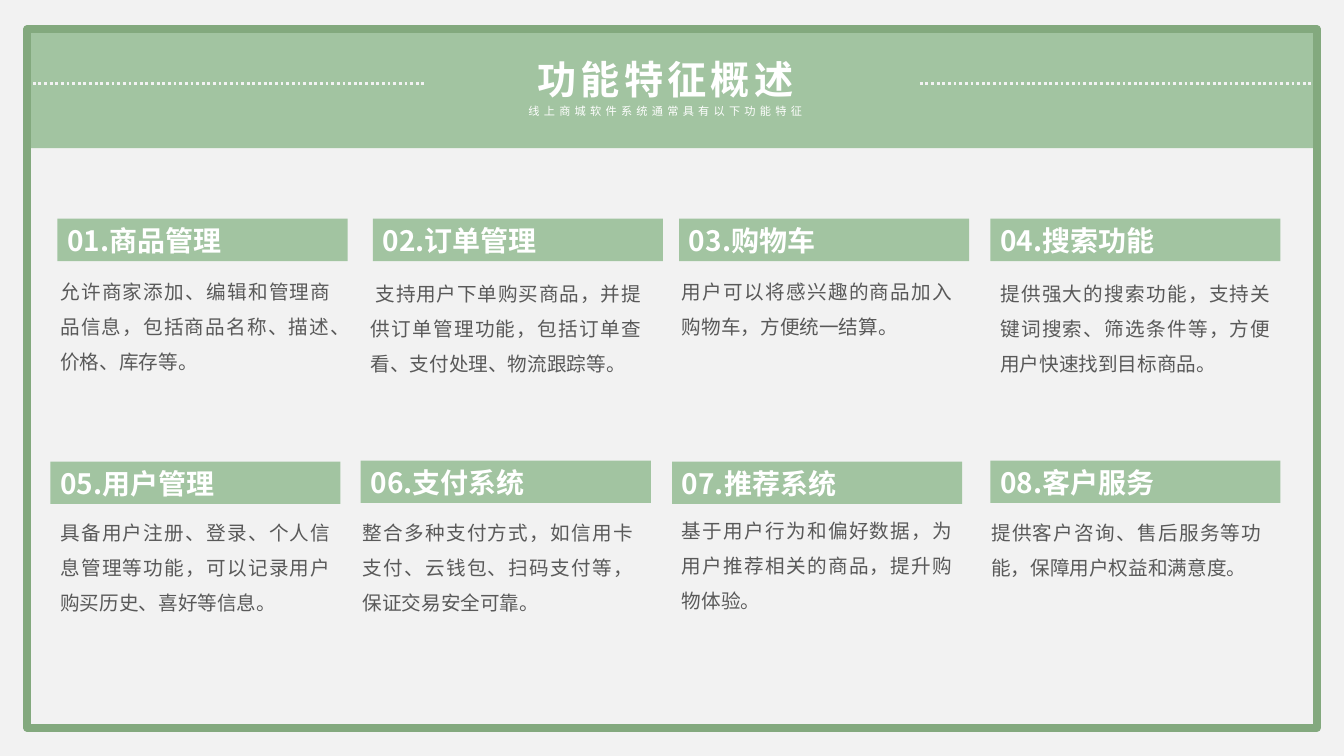
from dataclasses import dataclass

from lxml.etree import SubElement
from pptx import Presentation
from pptx.dml.color import RGBColor
from pptx.enum.dml import MSO_LINE
from pptx.enum.shapes import MSO_CONNECTOR, MSO_SHAPE
from pptx.enum.text import MSO_ANCHOR, MSO_AUTO_SIZE, PP_ALIGN
from pptx.oxml.ns import qn
from pptx.util import Inches, Pt


@dataclass(frozen=True)
class Theme:
    font: str = "Noto Sans CJK SC"
    paper: RGBColor = RGBColor(0xF2, 0xF2, 0xF2)
    band: RGBColor = RGBColor(0xA2, 0xC4, 0xA1)
    frame: RGBColor = RGBColor(0x83, 0xA9, 0x7E)
    white: RGBColor = RGBColor(0xFF, 0xFF, 0xFF)
    ink: RGBColor = RGBColor(0x59, 0x59, 0x59)
    title: int = 28
    subtitle: int = 8
    heading: int = 20
    body: int = 14
    tracking: int = 300


THEME = Theme()
FRAME_BOX = (0.27, 0.29, 12.8, 6.93)
CARD_WIDTH = 2.88
HEADING_HEIGHT = 0.42

# left, top, body shift right, body shift down, body height, first-line indent, heading, body
CARDS = [
    (0.57, 2.17, -0.07, 0.44, 1.03, 0, "01.商品管理",
     "允许商家添加、编辑和管理商品信息，包括商品名称、描述、价格、库存等。"),
    (3.7, 2.17, -0.12, 0.46, 1.23, 0.05, "02.订单管理",
     "支持用户下单购买商品，并提供订单管理功能，包括订单查看、支付处理、物流跟踪等。"),
    (6.74, 2.17, -0.07, 0.44, 1.03, 0, "03.购物车",
     "用户可以将感兴趣的商品加入购物车，方便统一结算。"),
    (9.83, 2.17, 0, 0.46, 1.23, 0, "04.搜索功能",
     "提供强大的搜索功能，支持关键词搜索、筛选条件等，方便用户快速找到目标商品。"),
    (0.5, 4.58, 0, 0.42, 1.52, 0, "05.用户管理",
     "具备用户注册、登录、个人信息管理等功能，可以记录用户购买历史、喜好等信息。"),
    (3.58, 4.57, -0.08, 0.43, 1.03, 0, "06.支付系统",
     "整合多种支付方式，如信用卡支付、云钱包、扫码支付等，保证交易安全可靠。"),
    (6.67, 4.58, 0, 0.4, 1.52, 0, "07.推荐系统",
     "基于用户行为和偏好数据，为用户推荐相关的商品，提升购物体验。"),
    (9.83, 4.57, -0.09, 0.43, 1.03, 0, "08.客户服务",
     "提供客户咨询、售后服务等功能，保障用户权益和满意度。"),
]


def write(shape, text, size, color, align, bold=False, tracking=0, wrap=True):
    shape.text_frame.word_wrap = wrap
    para = shape.text_frame.paragraphs[0]
    para.text = text
    para.alignment = align
    font = para.font
    font.name, font.size, font.bold = THEME.font, Pt(size), bold
    font.color.rgb = color
    properties = para._p.pPr.find(qn("a:defRPr"))
    SubElement(properties, qn("a:ea"), typeface=THEME.font)
    if tracking:
        properties.set("spc", str(tracking))
    return para


def add_rectangle(page, box, fill=None):
    shape = page.shapes.add_shape(MSO_SHAPE.RECTANGLE, *map(Inches, box))
    shape.shadow.inherit = False
    shape.line.fill.background()
    if fill is None:
        shape.fill.background()
    else:
        shape.fill.solid()
        shape.fill.fore_color.rgb = fill
    return shape


def add_dotted_rule(page, left, top, width):
    rule = page.shapes.add_connector(
        MSO_CONNECTOR.STRAIGHT, *map(Inches, (left, top, left + width, top)))
    rule.line.color.rgb = THEME.paper
    rule.line.width = Pt(2)
    rule.line.dash_style = MSO_LINE.ROUND_DOT
    SubElement(rule._element.spPr, qn("a:effectLst"))


def add_backdrop(page, box):
    left, top, width, height = box
    rule_width = 3.94
    page.background.fill.solid()
    page.background.fill.fore_color.rgb = THEME.paper
    add_rectangle(page, (left, top, width, 1.18), THEME.band)
    for rule_left in (left, left + width - rule_width):
        add_dotted_rule(page, rule_left, top + 0.54, rule_width)
    frame = add_rectangle(page, box)
    frame.line.color.rgb = THEME.frame
    frame.line.width = Pt(5.5)


def add_header(page, box):
    left, top, width, height = box
    title = page.shapes.add_textbox(*map(Inches, (left, top, width, 0.57)))
    write(title, "功能特征概述", THEME.title, THEME.white, PP_ALIGN.CENTER,
          bold=True, tracking=THEME.tracking)
    subtitle = page.shapes.add_textbox(
        *map(Inches, (left + 0.29, top + 0.49, 2.95, 0.23)))
    write(subtitle, "线上商城软件系统通常具有以下功能特征", THEME.subtitle,
          THEME.white, PP_ALIGN.CENTER, tracking=THEME.tracking, wrap=False)
    for box_shape in (title, subtitle):
        box_shape.text_frame.auto_size = MSO_AUTO_SIZE.SHAPE_TO_FIT_TEXT


def add_card(page, left, top, shift_x, shift_y, body_height, indent, heading, body):
    banner = add_rectangle(page, (left, top, CARD_WIDTH, HEADING_HEIGHT), THEME.band)
    banner.text_frame.vertical_anchor = MSO_ANCHOR.MIDDLE
    write(banner, heading, THEME.heading, THEME.white, PP_ALIGN.LEFT,
          bold=True, wrap=False)
    detail = page.shapes.add_textbox(
        *map(Inches, (left + shift_x, top + shift_y, CARD_WIDTH, body_height)))
    para = write(detail, body, THEME.body, THEME.ink, PP_ALIGN.JUSTIFY)
    para.line_spacing = 1.5
    if indent:
        para._p.pPr.set("indent", str(Inches(indent)))


def main():
    deck = Presentation()
    deck.slide_width, deck.slide_height = Inches(13.34), Inches(7.5)
    page = deck.slides.add_slide(deck.slide_layouts[6])
    add_backdrop(page, FRAME_BOX)
    add_header(page, (4.84, 0.5, 3.53, 0.72))
    for card in CARDS:
        add_card(page, *card)
    deck.save("out.pptx")


if __name__ == "__main__":
    main()
